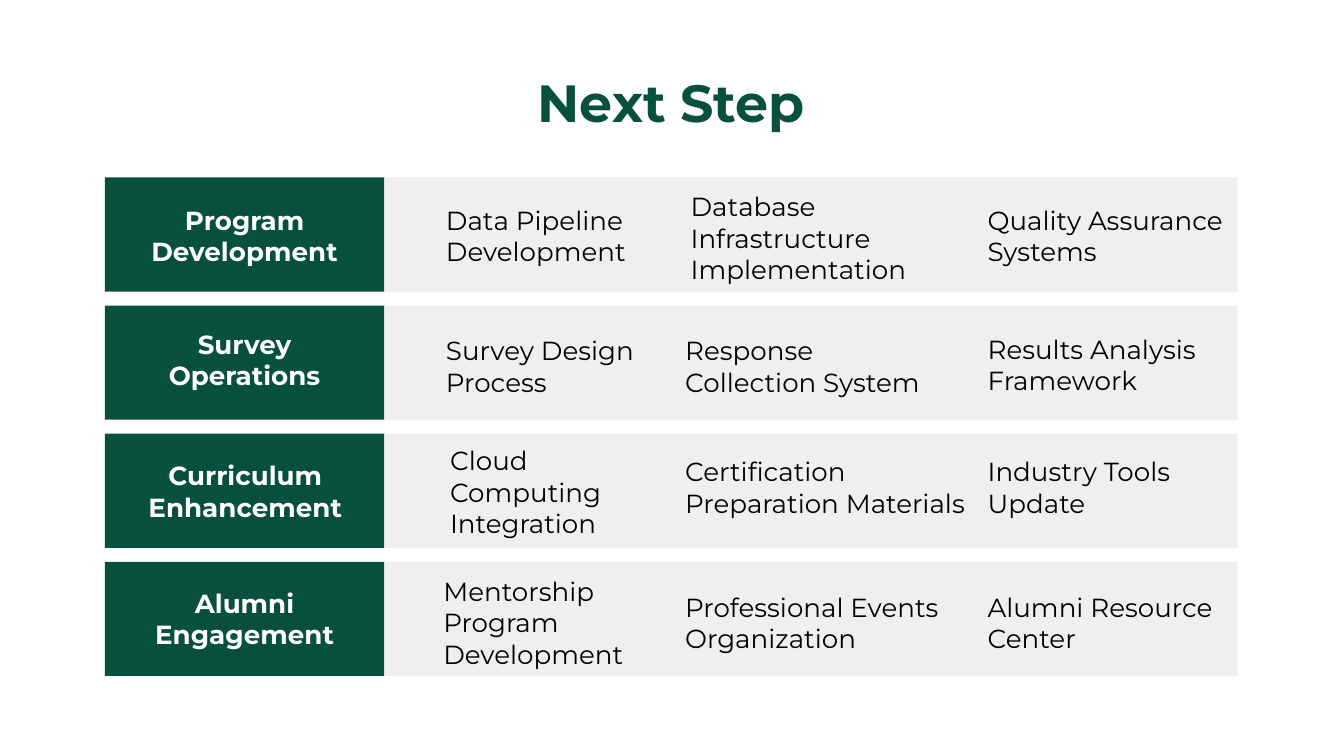
"""Build the Next Step slide: four green topics, each with three planned items."""
from pptx import Presentation
from pptx.dml.color import RGBColor
from pptx.enum.shapes import MSO_SHAPE
from pptx.enum.text import MSO_ANCHOR, PP_ALIGN
from pptx.util import Inches, Pt

RECT = MSO_SHAPE.RECTANGLE
TOP = MSO_ANCHOR.TOP
LEFT, MID = PP_ALIGN.LEFT, PP_ALIGN.CENTER

TITLE = ("Next Step", 0.78, 0.42, 8.43, 1.02)

ROWS = [
    (("Program Development", 1, 1.42, 1.64),
     [("Data Pipeline Development", 3.22, 1.42, 1.57),
      ("Database Infrastructure Implementation", 5.04, 1.32, 1.82),
      ("Quality Assurance Systems", 7.25, 1.42, 1.97)]),
    (("Survey Operations", 0.86, 2.34, 1.92),
     [("Survey Design Process", 3.22, 2.39, 1.63),
      ("Response Collection System", 5, 2.39, 1.96),
      ("Results Analysis Framework", 7.25, 2.38, 2.08)]),
    (("Curriculum Enhancement", 0.95, 3.32, 1.75),
     [("Cloud Computing Integration", 3.25, 3.21, 1.45),
      ("Certification Preparation Materials", 5, 3.29, 2.43),
      ("Industry Tools Update", 7.25, 3.29, 1.58)]),
    (("Alumni Engagement", 1.01, 4.27, 1.62),
     [("Mentorship Program Development", 3.2, 4.18, 2.08),
      ("Professional Events Organization", 5, 4.3, 2.14),
      ("Alumni Resource Center", 7.25, 4.3, 2.14)]),
]

GREEN = RGBColor(0x06, 0x50, 0x3D)
THEME = {
    "font": "Montserrat",
    "green": GREEN,
    "grey": RGBColor(0xEF, 0xEF, 0xEF),
    "title": {"size": Pt(28), "bold": True, "color": GREEN, "align": MID},
    "label": {"size": Pt(14), "bold": True, "color": RGBColor(0xFF, 0xFF, 0xFF), "align": MID},
    "item": {"size": Pt(14), "bold": False, "color": RGBColor(0, 0, 0), "align": LEFT},
}
FRAME = {"word_wrap": True, "vertical_anchor": TOP, "margin_left": Inches(0.1),
         "margin_right": Inches(0.1), "margin_top": Inches(0.1), "margin_bottom": Inches(0.1)}

WIDE = Inches(10)
HIGH = WIDE * 9 // 16
EDGE, SPLIT, END = 0.78, 2.86, 9.21
FIRST, LAST, TALL = 1.32, 4.18, 0.85
STEP = (LAST - FIRST) / (len(ROWS) - 1)
BOX = 0.6


def add_bar(slide, left, top, right, color):
    bar = slide.shapes.add_shape(RECT, Inches(left), Inches(top),
                                 Inches(right - left), Inches(TALL))
    bar.shadow.inherit = False
    bar.fill.solid()
    bar.fill.fore_color.rgb = color
    bar.line.fill.background()


def add_text(slide, style, text, left, top, width, height=BOX):
    box = slide.shapes.add_textbox(*map(Inches, (left, top, width, height)))
    frame = box.text_frame
    for name, value in FRAME.items():
        setattr(frame, name, value)
    para = frame.paragraphs[0]
    para.alignment = style["align"]
    run = para.add_run()
    run.text = text
    look = {"name": THEME["font"], "size": style["size"], "bold": style["bold"]}
    for name, value in look.items():
        setattr(run.font, name, value)
    run.font.color.rgb = style["color"]


def main():
    deck = Presentation()
    deck.slide_width, deck.slide_height = WIDE, HIGH
    slide = deck.slides.add_slide(deck.slide_layouts[6])
    add_text(slide, THEME["title"], *TITLE)
    for index, (label, items) in enumerate(ROWS):
        top = FIRST + index * STEP
        add_bar(slide, EDGE, top, SPLIT, THEME["green"])
        add_bar(slide, SPLIT, top, END, THEME["grey"])
        add_text(slide, THEME["label"], *label)
        for item in items:
            add_text(slide, THEME["item"], *item)
    deck.save("out.pptx")


if __name__ == "__main__":
    main()
